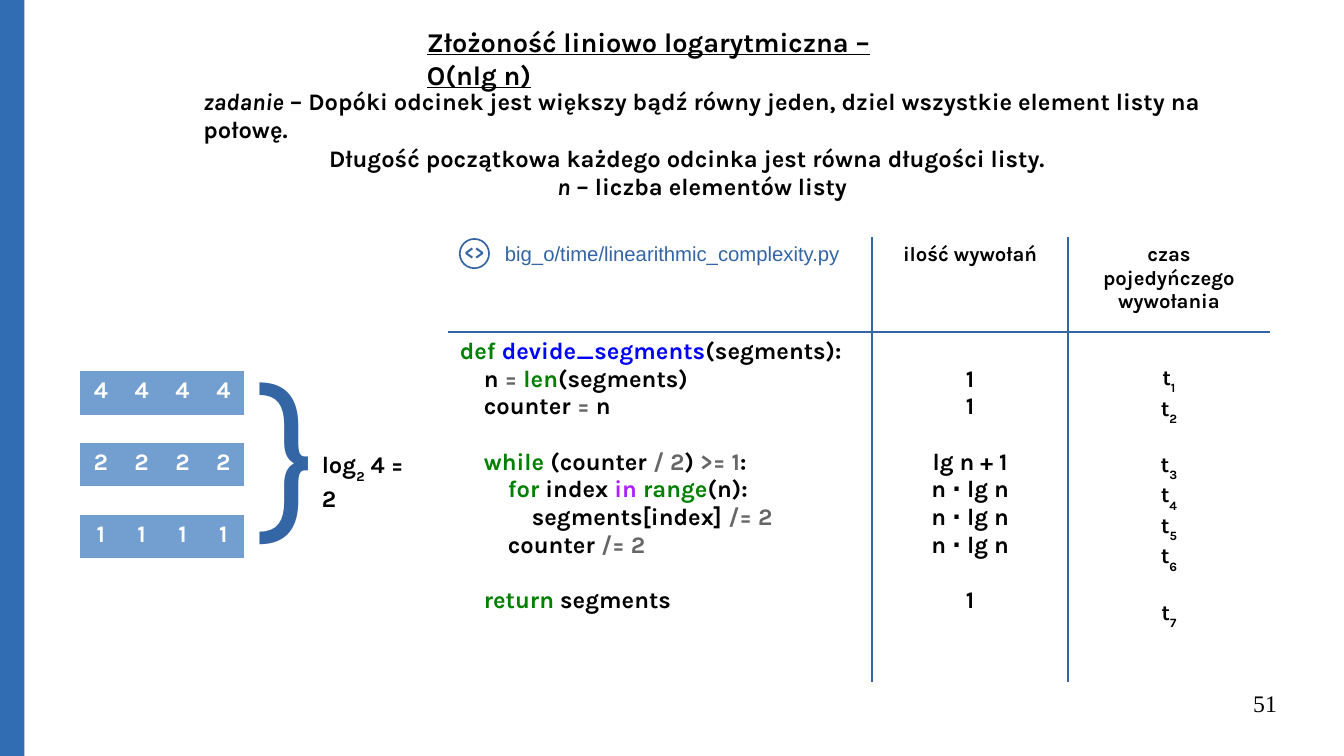
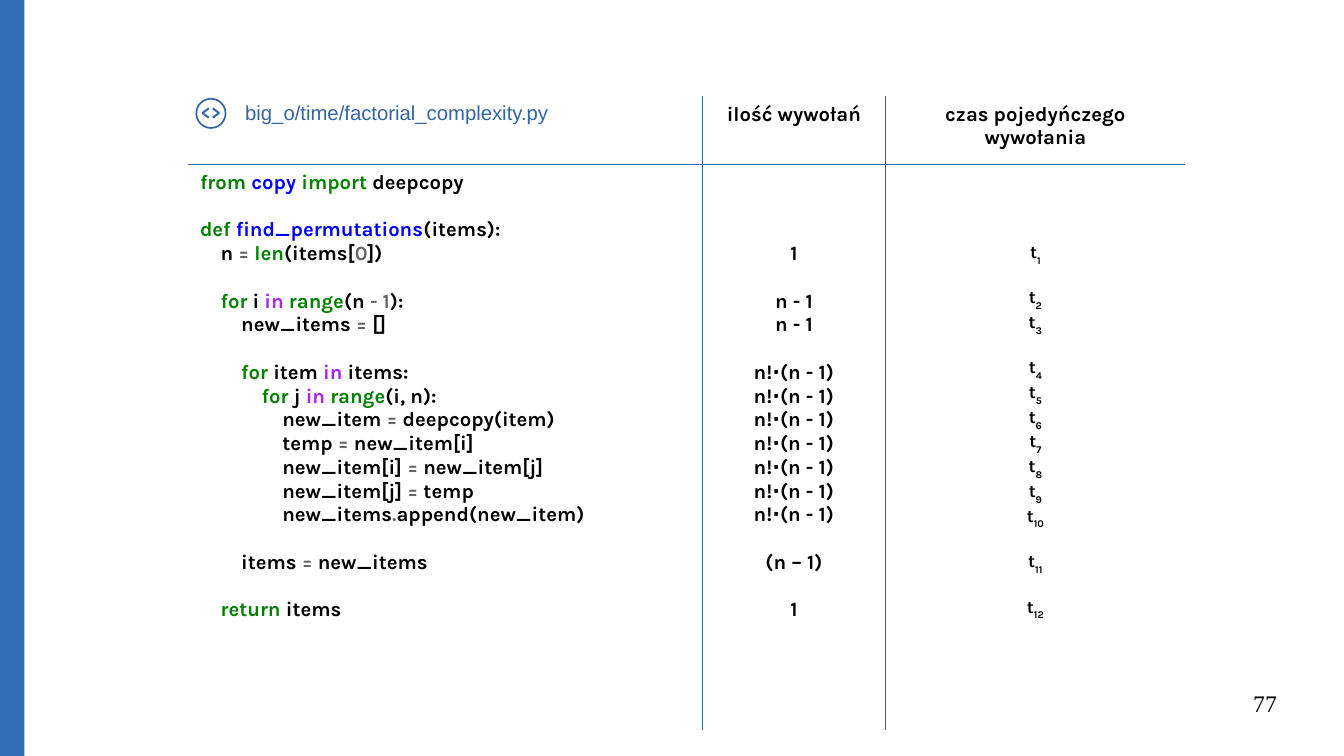
from pptx import Presentation
from pptx.dml.color import RGBColor
from pptx.enum.shapes import MSO_SHAPE
from pptx.enum.text import MSO_ANCHOR, MSO_AUTO_SIZE, PP_ALIGN
from pptx.oxml import parse_xml
from pptx.oxml.ns import nsdecls
from pptx.util import Inches, Pt

RECTANGLE, OVAL = MSO_SHAPE.RECTANGLE, MSO_SHAPE.OVAL
LEFT, CENTER, RIGHT = PP_ALIGN.LEFT, PP_ALIGN.CENTER, PP_ALIGN.RIGHT
TOP, MIDDLE = MSO_ANCHOR.TOP, MSO_ANCHOR.MIDDLE

# Shared look
WIDTH, HEIGHT = 11.02, 6.2
BAND = RGBColor(0x30, 0x6D, 0xB3)
ACCENT = RGBColor(0x34, 0x65, 0xA4)
SEGMENT = RGBColor(0x72, 0x9F, 0xCF)
BLACK = RGBColor(0, 0, 0)
WHITE = RGBColor(0xFF, 0xFF, 0xFF)
CODE_COLORS = {
    "k": RGBColor(0, 0x80, 0),           # keyword
    "f": RGBColor(0, 0, 0xFF),           # function or module name
    "o": RGBColor(0x66, 0x66, 0x66),     # operator or number
    "w": RGBColor(0xAA, 0x22, 0xFF),     # word operator
}
MAIN_FONT, FILE_FONT, NUMBER_FONT = "Karla", "Arial", "Times New Roman"
LINE_HEIGHT = 1.17
CELL_TOP = 0.05
RULE_WIDTH = 1.13

# Content: "|" splits spans, "x~" gives a span its colour
TITLE = "Złożoność liniowo logarytmiczna – O(nlg n)"
TASK = [
    # spans as (text, italic), indent, alignment
    ([("zadanie", True), (" – Dopóki odcinek jest większy bądź równy jeden, "
       "dziel wszystkie element listy na połowę.", False)], 0, LEFT),
    ([("Długość początkowa każdego odcinka jest równa długości listy.", False)],
     1.03, LEFT),
    ([("n", True), (" – liczba elementów listy", False)], 0, CENTER),
]
SEGMENT_VALUES = ["4", "2", "1"]
SEGMENT_COUNT = 4
HEADINGS = ["ilość wywołań", "czas pojedyńczego wywołania"]

LINEARITHMIC = {
    "file": "big_o/time/linearithmic_complexity.py",
    "number": "51",
    "at": (3.67, 1.94), "columns": (3.48, 1.61, 1.65), "rows": (0.78, 2.87),
    "icon_left": 3.77, "code_size": 14, "time_size": 13,
    "code": [
        "k~def |f~devide_segments|(segments):",
        "    n |o~= |k~len|(segments)",
        "    counter |o~=| n",
        "",
        "    |k~while| (counter |o~/ 2|) |o~>= 1|:",
        "        |k~for| index |w~in |k~range|(n):",
        "            segments[index] |o~/= 2",
        "        counter |o~/= 2",
        "",
        "    |k~return| segments",
    ],
    "counts": ["", "1", "1", "", "lg n + 1"] + ["n ⋅ lg n"] * 3 + ["", "1"],
}
FACTORIAL = {
    "file": "big_o/time/factorial_complexity.py",
    "number": "77",
    "at": (1.54, 0.79), "columns": (4.22, 1.5, 2.46), "rows": (0.56, 4.64),
    "icon_left": 1.61, "code_size": 12, "time_size": 10.5,
    "code": [
        "k~from |f~copy |k~import| deepcopy",
        "",
        "k~def |f~find_permutations|(items):",
        "    n |o~= |k~len|(items[|o~0|])",
        "",
        "    |k~for| i |w~in |k~range|(n |o~- 1|):",
        "        new_items |o~=| []",
        "",
        "        |k~for| item |w~in| items:",
        "            |k~for| j |w~in |k~range|(i, n):",
        "                new_item |o~=| deepcopy(item)",
        "                temp |o~=| new_item[i]",
        "                new_item[i] |o~=| new_item[j]",
        "                new_item[j] |o~=| temp",
        "                new_items|o~.|append(new_item)",
        "",
        "        items |o~=| new_items",
        "",
        "    |k~return| items",
    ],
    "counts": ["", "", "", "1", "", "n - 1", "n - 1", ""]
    + ["n!⋅(n - 1)"] * 7 + ["", "(n – 1)", "", "1"],
}


# Text helpers
def add_span(para, text, size, color=BLACK, bold=True, font=MAIN_FONT,
             italic=False, subscript=False):
    span = para.add_run()
    span.text = text
    span.font.size = Pt(size)
    span.font.name = font
    span.font.bold = bold
    span.font.italic = italic
    span.font.color.rgb = color
    if subscript:
        span._r.get_or_add_rPr().set("baseline", "-33000")
    return span


def indent(para, inches):
    properties = para._p.get_or_add_pPr()
    properties.set("marL", str(Inches(inches)))
    properties.set("indent", "0")


def add_box(page, left, top, width, height, wrap=True):
    frame = page.shapes.add_textbox(
        Inches(left), Inches(top), Inches(width), Inches(height)).text_frame
    frame.word_wrap = wrap
    return frame


def fill_lines(cell, lines, size, first_size, align):
    """Write lines of (text, color, subscript) spans; empty lines become gaps."""
    frame = cell.text_frame
    blanks, started = 0, False
    for spans in lines:
        if not spans:
            blanks += 1
            continue
        para = frame.add_paragraph() if started else frame.paragraphs[0]
        para.alignment = align
        if started:
            para.space_before = Pt(round(blanks * size * LINE_HEIGHT, 1))
        else:
            cell.margin_top = Inches(CELL_TOP) + Pt(blanks * first_size * LINE_HEIGHT)
        for text, color, subscript in spans:
            add_span(para, text, size, color, subscript=subscript)
        blanks, started = 0, True


def code_spans(line):
    spans = []
    for part in filter(None, line.split("|")):
        role, mark, text = part.partition("~")
        spans.append((text, CODE_COLORS[role], False) if mark
                     else (part, BLACK, False))
    return spans


def time_lines(counts):
    lines, index = [], 0
    for count in counts:
        index += bool(count)
        lines.append([("t", BLACK, False), (str(index), BLACK, True)]
                     if count else [])
    return lines


# Shape and table helpers
def add_solid(page, kind, left, top, width, height, fill):
    shape = page.shapes.add_shape(
        kind, Inches(left), Inches(top), Inches(width), Inches(height))
    shape.shadow.inherit = False
    shape.fill.solid()
    shape.fill.fore_color.rgb = fill
    shape.line.fill.background()
    return shape


def set_borders(cell, ruled):
    properties = cell._tc.get_or_add_tcPr()
    for index, side in enumerate("LRTB"):
        paint = (f'<a:solidFill><a:srgbClr val="{ACCENT}"/></a:solidFill>'
                 if side in ruled else "<a:noFill/>")
        properties.insert(index, parse_xml(
            f'<a:ln{side} {nsdecls("a")} w="{Pt(RULE_WIDTH)}">{paint}</a:ln{side}>'))


def add_grid(page, left, top, columns, rows, fill, ruled=False):
    table = page.shapes.add_table(
        len(rows), len(columns), Inches(left), Inches(top),
        Inches(sum(columns)), Inches(sum(rows))).table
    table.first_row = table.horz_banding = False
    for column, width in zip(table.columns, columns):
        column.width = Inches(width)
    for row, height in zip(table.rows, rows):
        row.height = Inches(height)
    for r in range(len(rows)):
        for c in range(len(columns)):
            cell = table.cell(r, c)
            cell.fill.solid()
            cell.fill.fore_color.rgb = fill
            inner = {"L": c > 0, "R": c < len(columns) - 1,
                     "T": r > 0, "B": r < len(rows) - 1}
            set_borders(cell, [side for side in inner if ruled and inner[side]])
    return table


def add_complexity_table(page, topic):
    left, top = topic["at"]
    table = add_grid(page, left, top, topic["columns"], topic["rows"], WHITE, True)

    # Header row
    para = table.cell(0, 0).text_frame.paragraphs[0]
    indent(para, 0.37)
    add_span(para, topic["file"], 12, ACCENT, False, FILE_FONT)
    for column, heading in enumerate(HEADINGS, 1):
        para = table.cell(0, column).text_frame.paragraphs[0]
        para.alignment = CENTER
        add_span(para, heading, 12)

    # Code, number of calls, time of one call
    size = topic["code_size"]
    fill_lines(table.cell(1, 0), map(code_spans, topic["code"]), size, size, LEFT)
    counts = [[(count, BLACK, False)] if count else [] for count in topic["counts"]]
    fill_lines(table.cell(1, 1), counts, size, size, CENTER)
    fill_lines(table.cell(1, 2), time_lines(topic["counts"]),
               topic["time_size"], size, CENTER)

    # Code icon
    icon = add_solid(page, OVAL, topic["icon_left"], top + 0.02, 0.24, 0.24, WHITE)
    icon.line.color.rgb = ACCENT
    icon.line.width = Pt(1)
    frame = icon.text_frame
    frame.margin_left = frame.margin_right = frame.margin_top = 0
    frame.margin_bottom = Inches(0.02)
    frame.word_wrap = False
    frame.vertical_anchor = MIDDLE
    frame.paragraphs[0].alignment = CENTER
    add_span(frame.paragraphs[0], "<>", 11, ACCENT)


def add_page(deck, layout, topic):
    page = deck.slides.add_slide(deck.slide_layouts[layout])
    add_solid(page, RECTANGLE, 0, 0, 0.2, HEIGHT, BAND)
    add_complexity_table(page, topic)
    frame = add_box(page, 7.9, 5.65, 2.57, 0.43)
    frame.margin_left = frame.margin_right = 0
    frame.margin_top = frame.margin_bottom = 0
    frame.paragraphs[0].alignment = RIGHT
    add_span(frame.paragraphs[0], topic["number"], 14, BLACK, False, NUMBER_FONT)
    return page


def add_title_and_task(page):
    title = page.shapes.title
    title.left, title.top = Inches(3.4), Inches(0.16)
    title.width, title.height = Inches(4.3), Inches(0.7)
    frame = title.text_frame
    frame.auto_size = MSO_AUTO_SIZE.NONE
    frame.word_wrap = True
    frame.vertical_anchor = TOP
    frame.paragraphs[0].alignment = LEFT
    add_span(frame.paragraphs[0], TITLE, 16).font.underline = True

    frame = add_box(page, 1.57, 0.66, 9.1, 0.89, wrap=False)
    for index, (spans, inset, align) in enumerate(TASK):
        para = frame.add_paragraph() if index else frame.paragraphs[0]
        para.alignment = align
        indent(para, inset)
        for text, italic in spans:
            add_span(para, text, 14, italic=italic)


def add_segments(page):
    for index, value in enumerate(SEGMENT_VALUES):
        table = add_grid(page, 0.66, 3.04 + 0.59 * index,
                         [1.34 / SEGMENT_COUNT] * SEGMENT_COUNT, [0.36], SEGMENT)
        for cell in table.iter_cells():
            para = cell.text_frame.paragraphs[0]
            para.alignment = CENTER
            add_span(para, value, 14, WHITE)

    brace = add_box(page, 2.02, 2.71, 0.43, 2.14).paragraphs[0]
    add_span(brace, "}", 108, ACCENT, bold=False)
    depth = add_box(page, 2.54, 3.64, 0.96, 0.67).paragraphs[0]
    add_span(depth, "log", 14)
    add_span(depth, "2", 14, subscript=True)
    add_span(depth, " 4 = 2", 14)


def main():
    deck = Presentation()
    deck.slide_width, deck.slide_height = Inches(WIDTH), Inches(HEIGHT)
    page = add_page(deck, 5, LINEARITHMIC)
    add_title_and_task(page)
    add_segments(page)
    add_page(deck, 6, FACTORIAL)
    deck.save("out.pptx")


if __name__ == "__main__":
    main()
